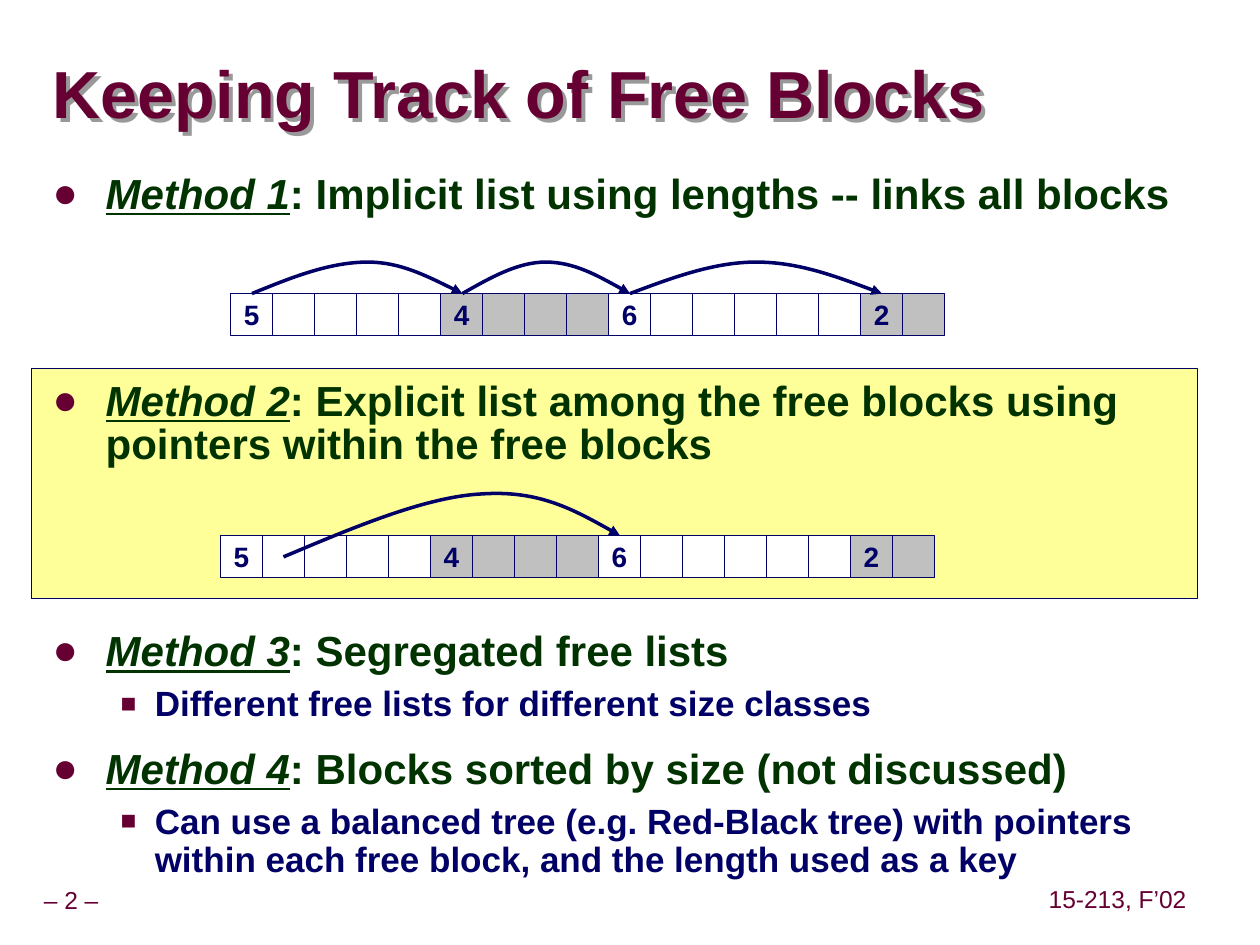
from dataclasses import dataclass

from lxml import etree
from pptx import Presentation
from pptx.dml.color import RGBColor
from pptx.enum import dml, shapes, text
from pptx.oxml import ns
from pptx.util import Inches, Pt


@dataclass(frozen=True)
class Theme:
    font: str = "Arial"
    maroon: str = "660033"
    green: str = "003300"
    navy: str = "000066"
    yellow: str = "FFFF99"
    white: str = "FFFFFF"
    gray: str = "C0C0C0"
    shadow: str = "999999"
    title: float = 38
    method: float = 24
    detail: float = 20
    cell: float = 16
    footer: float = 14
    thin: float = 0.25
    arrow: float = 2


@dataclass(frozen=True)
class Method:
    name: str
    summary: str
    space_before: float = 15
    detail: str = ""


@dataclass(frozen=True)
class Block:
    size: int
    allocated: bool


@dataclass(frozen=True)
class Arc:
    start: float
    peak: float
    end: float


THEME = Theme()
CELL = 1 / 3
DIAGRAM_GAP = 94  # points left above a method that follows a diagram

METHODS = [
    Method("Method 1", ": Implicit list using lengths -- links all blocks"),
    Method("Method 2", ": Explicit list among the free blocks using pointers "
           "within the free blocks", DIAGRAM_GAP),
    Method("Method 3", ": Segregated free lists", DIAGRAM_GAP,
           "Different free lists for different size classes"),
    Method("Method 4", ": Blocks sorted by size (not discussed)",
           detail="Can use a balanced tree (e.g. Red-Black tree) with pointers "
           "within each free block, and the length used as a key"),
]
BLOCKS = [Block(5, False), Block(4, True), Block(6, False), Block(2, True)]
ARCS = [Arc(2, 2.92, 3.67), Arc(3.67, 4.33, 5), Arc(5, 6, 7)]
FREE_POINTER = [(2.25, 4.42), (2.82, 4.18), (3.39, 3.94), (3.83, 3.92),
                (4.28, 3.89), (4.6, 4.07), (4.92, 4.25)]


def add_xml(parent, tag: str, **attributes: str):
    return etree.SubElement(parent, ns.qn(tag), attributes)


def add_run(paragraph, words: str, size: float, color: str,
            bold: bool = True, emphasis: bool = False) -> None:
    run = paragraph.add_run()
    run.text = words
    font = run.font
    font.name, font.size, font.bold = THEME.font, Pt(size), bold
    font.color.rgb = RGBColor.from_string(color)
    if emphasis:
        font.italic = font.underline = True


def set_frame(shape, inset_x: float, inset_y: float, anchor, wrap: bool):
    frame = shape.text_frame
    frame.margin_left = frame.margin_right = Inches(inset_x)
    frame.margin_top = frame.margin_bottom = Inches(inset_y)
    frame.vertical_anchor, frame.word_wrap = anchor, wrap
    return frame


def set_bullet(paragraph, mark: str, margin: float, indent: float, percent: int) -> None:
    properties = paragraph._p.get_or_add_pPr()
    properties.set("marL", str(Inches(margin)))
    properties.set("indent", str(Inches(indent)))
    color = add_xml(properties, "a:buClr")
    add_xml(color, "a:srgbClr", val=THEME.maroon)
    add_xml(properties, "a:buSzPct", val=str(percent * 1000))
    add_xml(properties, "a:buFont", typeface=THEME.font)
    add_xml(properties, "a:buChar", char=mark)


def add_footer(slide, words: str, left: float, top: float, width: float) -> None:
    box = slide.shapes.add_textbox(Inches(left), Inches(top), Inches(width), Inches(0.31))
    frame = set_frame(box, 0.05, 0.05, text.MSO_ANCHOR.MIDDLE, False)
    paragraph = frame.paragraphs[0]
    paragraph.alignment, paragraph.line_spacing = text.PP_ALIGN.CENTER, 0.9
    add_run(paragraph, words, THEME.footer, THEME.maroon, bold=False)


def add_rectangle(slide, left: float, top: float, width: float, height: float, fill: str):
    shape = slide.shapes.add_shape(shapes.MSO_SHAPE.RECTANGLE, Inches(left), Inches(top),
                                   Inches(width), Inches(height))
    shape.shadow.inherit = False
    shape.fill.solid()
    shape.fill.fore_color.rgb = RGBColor.from_string(fill)
    shape.line.color.rgb = RGBColor.from_string(THEME.navy)
    shape.line.width = Pt(THEME.thin)
    return shape


def add_title(slide, words: str) -> None:
    box = slide.shapes.add_textbox(Inches(0.42), Inches(0.46), Inches(8.92), Inches(0.63))
    frame = set_frame(box, 0, 0, text.MSO_ANCHOR.MIDDLE, True)
    frame.paragraphs[0].line_spacing = 0.87
    add_run(frame.paragraphs[0], words, THEME.title, THEME.maroon)
    effects = add_xml(box._element.spPr, "a:effectLst")
    shadow = add_xml(effects, "a:outerShdw", dist=str(Pt(3.2)), dir="2700000", algn="ctr")
    add_xml(shadow, "a:srgbClr", val=THEME.shadow)


def add_methods(slide, methods: list[Method]) -> None:
    box = slide.shapes.add_textbox(Inches(0.32), Inches(1.34), Inches(9.09), Inches(5.71))
    frame = set_frame(box, 0.1, 0.05, text.MSO_ANCHOR.TOP, True)
    for index, method in enumerate(methods):
        paragraph = frame.add_paragraph() if index else frame.paragraphs[0]
        paragraph.line_spacing, paragraph.space_before = 0.85, Pt(method.space_before)
        set_bullet(paragraph, "●", 0.42, -0.42, 100)
        add_run(paragraph, method.name, THEME.method, THEME.green, emphasis=True)
        add_run(paragraph, method.summary, THEME.method, THEME.green)
        if method.detail:
            paragraph = frame.add_paragraph()
            paragraph.level = 1
            paragraph.line_spacing, paragraph.space_before = 0.9, Pt(6.2)
            set_bullet(paragraph, "■", 0.81, -0.27, 75)
            add_run(paragraph, method.detail, THEME.detail, THEME.navy)


def add_heap(slide, left: float, top: float, blocks: list[Block]) -> None:
    column = 0
    for block in blocks:
        fill = THEME.gray if block.allocated else THEME.white
        for word in range(block.size):
            cell = add_rectangle(slide, left + column * CELL, top, CELL, CELL, fill)
            if word == 0:
                frame = set_frame(cell, 0.1, 0.05, text.MSO_ANCHOR.MIDDLE, False)
                frame.paragraphs[0].alignment = text.PP_ALIGN.CENTER
                add_run(frame.paragraphs[0], str(block.size), THEME.cell, THEME.navy)
            column += 1


def arc_points(arc: Arc, base: float, top: float) -> list[tuple[float, float]]:
    rise, fall = (arc.peak - arc.start) / 3, (arc.end - arc.peak) / 3
    middle = (base + top) / 2
    return [(arc.start, base), (arc.start + rise, middle), (arc.peak - rise, top),
            (arc.peak, top), (arc.peak + fall, top), (arc.end - fall, middle),
            (arc.end, base)]


def add_curved_arrow(slide, points: list[tuple[float, float]]) -> None:
    start, *rest = [(Inches(x), Inches(y)) for x, y in points]
    builder = slide.shapes.build_freeform(*start)
    builder.add_line_segments(rest, close=False)
    shape = builder.convert_to_shape()
    shape.shadow.inherit = False
    shape.fill.background()
    shape.line.color.rgb = RGBColor.from_string(THEME.navy)
    shape.line.width = Pt(THEME.arrow)
    add_xml(shape.line._get_or_add_ln(), "a:tailEnd", type="triangle")
    # Every three segments become one cubic curve
    segments = list(shape._element.iter(ns.qn("a:lnTo")))
    outline = segments[0].getparent()
    for first in range(0, len(segments), 3):
        curve = add_xml(outline, "a:cubicBezTo")
        for segment in segments[first:first + 3]:
            curve.append(segment[0])
            outline.remove(segment)


def main() -> None:
    presentation = Presentation()
    presentation.slide_width, presentation.slide_height = Inches(10), Inches(7.5)
    slide = presentation.slides.add_slide(presentation.slide_layouts[6])

    # Footer, highlight and text
    add_footer(slide, "– 2 –", -0.09, 7, 1.31)
    add_footer(slide, "15-213, F’02", 8.27, 6.99, 1.2)
    highlight = add_rectangle(slide, 0.25, 2.92, 9.25, 1.83, THEME.yellow)
    highlight.line.dash_style = dml.MSO_LINE.ROUND_DOT
    add_title(slide, "Keeping Track of Free Blocks")
    add_methods(slide, METHODS)

    # Implicit and explicit list diagrams
    add_heap(slide, 1.83, 2.33, BLOCKS)
    add_heap(slide, 1.75, 4.25, BLOCKS)
    add_curved_arrow(slide, FREE_POINTER)
    for arc in ARCS:
        add_curved_arrow(slide, arc_points(arc, 2.33, 2.08))

    presentation.save("out.pptx")


if __name__ == "__main__":
    main()
